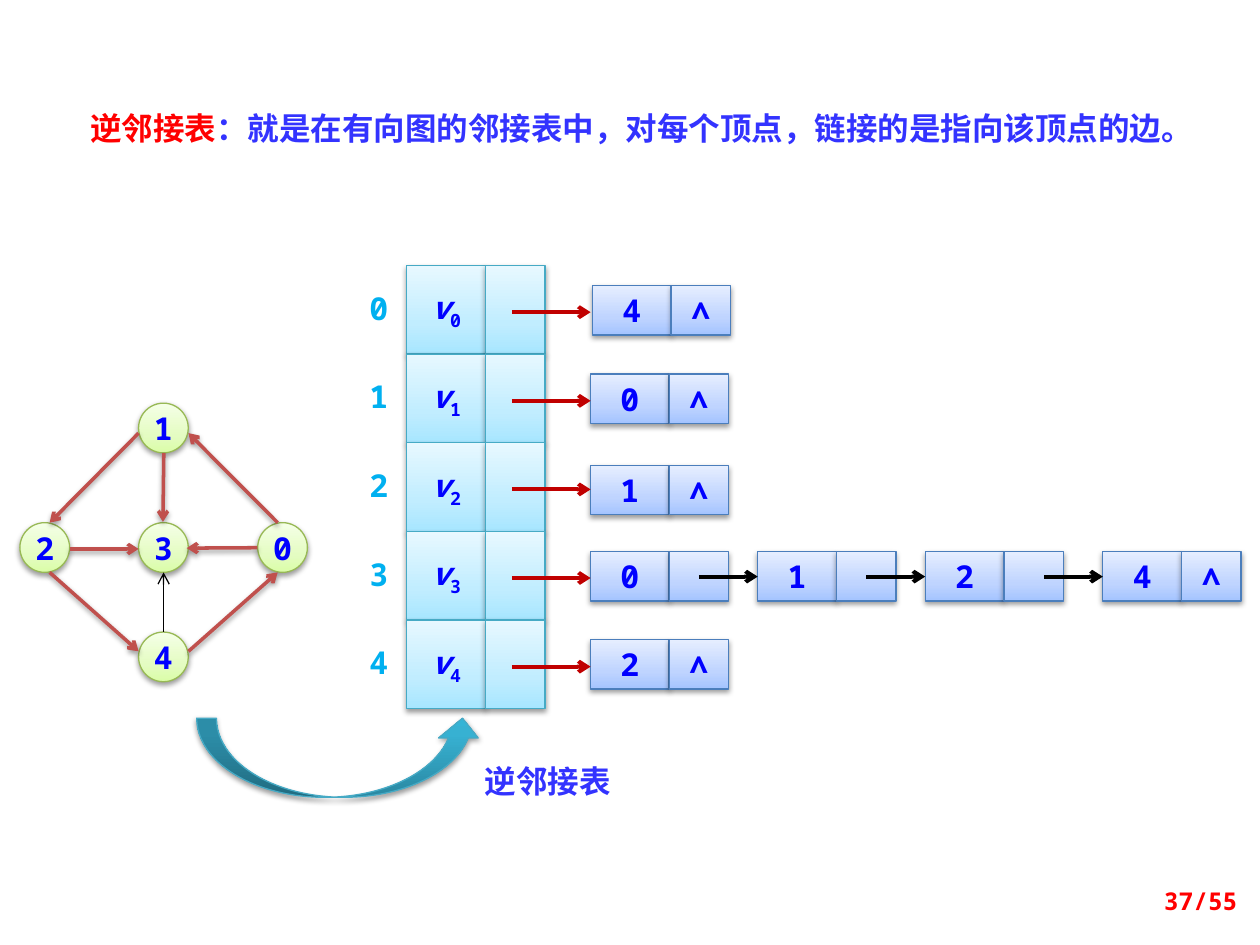
from lxml import etree
from pptx import Presentation
from pptx.dml.color import RGBColor
from pptx.enum.shapes import MSO_CONNECTOR, MSO_SHAPE
from pptx.enum.text import MSO_ANCHOR, PP_ALIGN
from pptx.oxml.ns import qn
from pptx.util import Pt

OVAL, RECT = MSO_SHAPE.OVAL, MSO_SHAPE.RECTANGLE
CURVED_ARROW = MSO_SHAPE.CURVED_UP_ARROW
STRAIGHT = MSO_CONNECTOR.STRAIGHT
LEFT, CENTER, RIGHT = PP_ALIGN.LEFT, PP_ALIGN.CENTER, PP_ALIGN.RIGHT
TOP, MIDDLE = MSO_ANCHOR.TOP, MSO_ANCHOR.MIDDLE

RED = RGBColor(0xFF, 0x00, 0x00)
BLUE = RGBColor(0x00, 0x00, 0xFF)
TITLE_BLUE = RGBColor(0x33, 0x33, 0xFF)
SKY = RGBColor(0x00, 0xB0, 0xF0)
BRICK = RGBColor(0xC0, 0x50, 0x4D)
DARK_RED = RGBColor(0xC0, 0x00, 0x00)
BLACK = RGBColor(0x00, 0x00, 0x00)
GREEN_LINE = RGBColor(0x98, 0xB9, 0x55)
NODE_LINE = RGBColor(0x4B, 0x7E, 0xBC)
TEAL_LINE = RGBColor(0x46, 0xAA, 0xC5)

# Gradients run from bottom to top: (percent, colour)
GREEN_FILL = [(0, RGBColor(0xDA, 0xFD, 0xA7)), (35, RGBColor(0xE4, 0xFC, 0xC2)),
              (100, RGBColor(0xF5, 0xFF, 0xE7))]
NODE_FILL = [(0, RGBColor(0xA4, 0xC4, 0xFF)), (35, RGBColor(0xBF, 0xD4, 0xFF)),
             (100, RGBColor(0xE6, 0xEE, 0xFF))]
HEAD_FILL = [(0, RGBColor(0xA7, 0xE6, 0xFF)), (35, RGBColor(0xC1, 0xED, 0xFF)),
             (100, RGBColor(0xE7, 0xF8, 0xFF))]
TEAL_FILL = [(0, RGBColor(0x2A, 0x88, 0xA2)), (80, RGBColor(0x37, 0xB1, 0xD2)),
             (100, RGBColor(0x34, 0xB4, 0xD6))]

MONO, CJK = "Noto Sans Mono", "Noto Sans CJK SC"


class Canvas:
    """Holds the slide and the shared style."""

    def __init__(self, slide, font=MONO, size=18):
        self.s, self.font, self.size = slide, font, size

    def style_run(self, r, color, font=None, size=None):
        r.font.name = font or self.font
        r.font.size = Pt(size or self.size)
        r.font.bold = True
        r.font.color.rgb = color
        ea = etree.SubElement(r.font._element, qn("a:ea"))
        ea.set("typeface", font or self.font)

    def effects(self, sp, shadow):
        pr = sp._element.spPr
        lst = pr.find(qn("a:effectLst"))
        if lst is None:
            lst = etree.SubElement(pr, qn("a:effectLst"))
        if shadow:
            outer = etree.SubElement(lst, qn("a:outerShdw"), blurRad=str(Pt(3.1)),
                                     dist=str(Pt(1.6)), dir="5400000", rotWithShape="0")
            clr = etree.SubElement(outer, qn("a:srgbClr"), val="000000")
            etree.SubElement(clr, qn("a:alpha"), val="38000")

    def shape(self, kind, x, y, w, h, stops, line, text="", sub=""):
        sp = self.s.shapes.add_shape(kind, Pt(x), Pt(y), Pt(w), Pt(h))
        sp.fill.gradient()
        sp.fill.gradient_angle = 90
        gs_list = sp._element.spPr.find(".//" + qn("a:gsLst"))
        for gs in list(gs_list):
            gs_list.remove(gs)
        for pos, color in stops:
            gs = etree.SubElement(gs_list, qn("a:gs"), pos=str(pos * 1000))
            etree.SubElement(gs, qn("a:srgbClr"), val=str(color))
        sp.line.color.rgb = line
        sp.line.width = Pt(0.75)
        sp.shadow.inherit = False
        self.effects(sp, True)
        if text:
            tf = sp.text_frame
            tf.word_wrap = False
            tf.vertical_anchor = MIDDLE
            p = tf.paragraphs[0]
            p.text = text
            p.alignment = CENTER
            self.style_run(p.runs[0], BLUE)
            if sub:
                p.runs[0].font.italic = True
                r = p.add_run()
                r.text = sub
                self.style_run(r, BLUE)
                r.font._element.set("baseline", "-25000")

    def arrow(self, x1, y1, x2, y2, color, width, shadow=False):
        cn = self.s.shapes.add_connector(STRAIGHT, Pt(x1), Pt(y1), Pt(x2), Pt(y2))
        cn.line.color.rgb = color
        cn.line.width = Pt(width)
        etree.SubElement(cn.line._get_or_add_ln(), qn("a:tailEnd"), type="arrow")
        self.effects(cn, shadow)

    def text(self, x, y, w, h, parts, font=None, size=None, align=LEFT,
             anchor=TOP, inset=None, spacing=None):
        tf = self.s.shapes.add_textbox(Pt(x), Pt(y), Pt(w), Pt(h)).text_frame
        tf.word_wrap = True
        tf.vertical_anchor = anchor
        if inset is not None:
            tf.margin_left = tf.margin_right = Pt(inset)
            tf.margin_top = tf.margin_bottom = Pt(inset)
        p = tf.paragraphs[0]
        p.alignment = align
        if spacing:
            p.line_spacing = Pt(spacing)
        for words, color in parts:
            r = p.add_run()
            r.text = words
            self.style_run(r, color, font, size)


def main():
    prs = Presentation()
    prs.slide_width, prs.slide_height = Pt(720), Pt(540)
    c = Canvas(prs.slides.add_slide(prs.slide_layouts[6]))

    # Directed graph
    vertices = {"1": (79.2, 230.4), "3": (79.2, 298.7), "2": (11.4, 298.7),
                "0": (147.3, 298.7), "4": (79.2, 361.2)}
    for name, (x, y) in vertices.items():
        c.shape(OVAL, x, y, 28.4, 28.4, GREEN_FILL, GREEN_LINE, name)
    edges = [(79.2, 247.5, 28.4, 298.7), (158.7, 298.7, 107.7, 247.5),
             (39.8, 313.7, 79.2, 313.7), (147.1, 313, 106.7, 313.2),
             (93.6, 259, 93.1, 298.2), (28.4, 327.1, 79.2, 372.2),
             (107.7, 372.2, 158.7, 327.1)]
    for edge in edges:
        c.arrow(*edge, BRICK, 2, shadow=True)
    c.arrow(93.5, 361.2, 93.5, 327.1, BLACK, 0.75)

    # Definition
    c.text(44.6, 50.4, 675.4, 37.4,
           [("逆邻接表", RED),
            ("：就是在有向图的邻接表中，对每个顶点，链接的是指向该顶点的边。", TITLE_BLUE)],
           font=CJK, spacing=30)

    # Edge nodes: left and top of the first node, values in the list
    data_w, link_w, node_h = 45, 34, 28.2
    chain_x = [0, 95.6, 191.3, 292.8]
    lists = [(338.5, 163.2, "4"), (337.4, 213.8, "0"), (337.4, 266, "1"),
             (337.4, 315.2, "0124"), (337.4, 365.5, "2")]
    for left, y, values in lists:
        for i, (dx, value) in enumerate(zip(chain_x, values)):
            x = left + dx
            end = "∧" if i == len(values) - 1 else ""
            c.shape(RECT, x, y, data_w, node_h, NODE_FILL, NODE_LINE, value)
            c.shape(RECT, x + data_w, y, link_w, node_h, NODE_FILL, NODE_LINE, end)
        for dx in chain_x[1:len(values)]:
            c.arrow(left + dx - 33.6, y + 14.3, left + dx, y + 14.3, BLACK, 2.25)

    # Vertex array with its indexes and list pointers
    row_h = 50.64
    for i in range(5):
        y = 151.8 + i * row_h
        c.shape(RECT, 232.5, y, data_w, row_h, HEAD_FILL, TEAL_LINE, "v", str(i))
        c.shape(RECT, 232.5 + data_w, y, link_w, row_h, HEAD_FILL, TEAL_LINE)
        c.text(202.4, y + 13.2, 28.2, 21.6, [(str(i), SKY)], align=CENTER, inset=0)
        c.arrow(292.5, y + 26.6, 337.5, y + 26.6, DARK_RED, 2.25)

    # Caption and page number
    c.shape(CURVED_ARROW, 112.4, 410.4, 163.2, 45.2, TEAL_FILL, TEAL_LINE)
    c.text(270, 432, 106.5, 29, [("逆邻接表", TITLE_BLUE)])
    c.text(546.5, 500.4, 167.8, 28.8, [("37/55", RED)], size=14,
           align=RIGHT, anchor=MIDDLE)

    prs.save("out.pptx")


if __name__ == "__main__":
    main()
